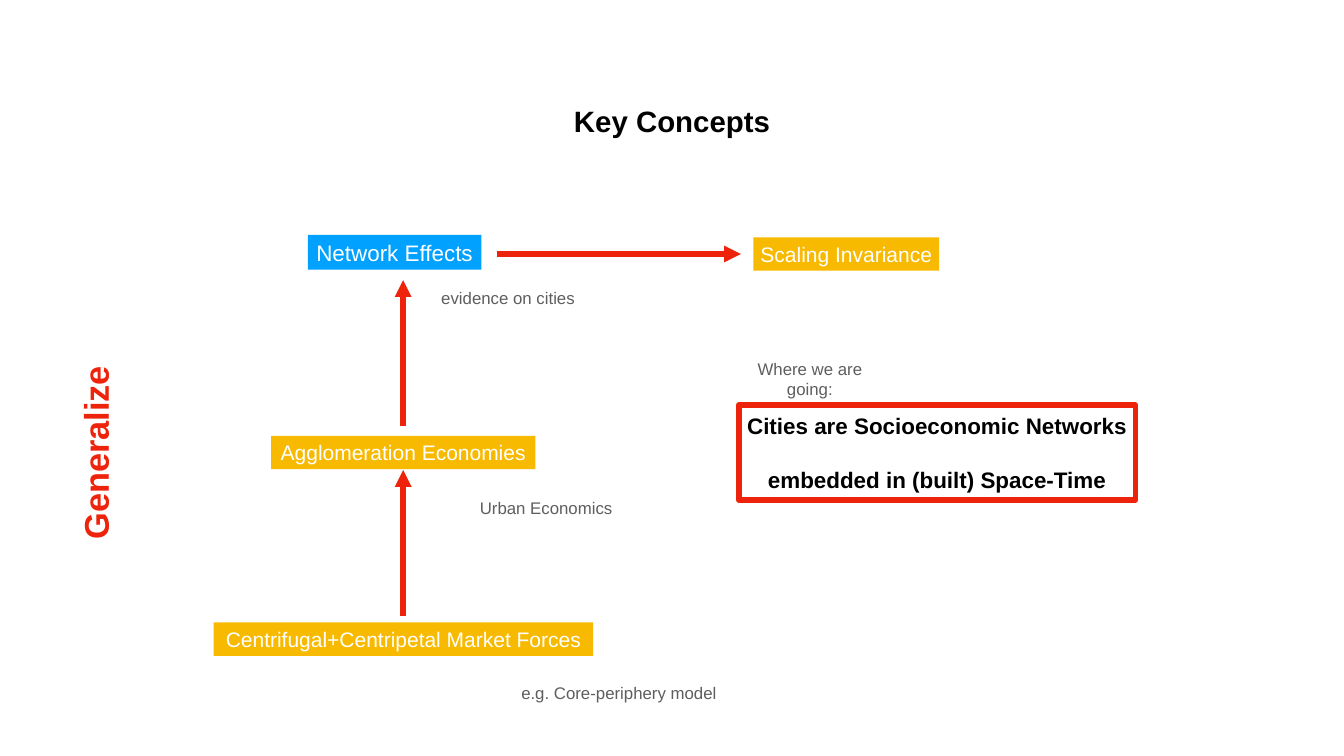
from lxml import etree
from pptx import Presentation, util as u
from pptx.dml.color import RGBColor
from pptx.enum import shapes, text
from pptx.oxml.ns import qn

HUES = {"red": "EE230C", "gold": "F8BA00", "blue": "00A1FF",
        "gray": "5E5E5E", "black": "000000", "white": "FFFFFF"}


class Deck:
    font = "Arial"
    stroke = u.Pt(8)

    def __init__(self, slide):
        self.slide = slide

    def hue(self, name):
        return RGBColor.from_string(HUES[name])

    def fill_text(self, shape, lines, size, color, bold=False, pad=0.2, gap=0):
        frame = shape.text_frame
        inset = u.Cm(pad)
        looks = {"word_wrap": False, "vertical_anchor": text.MSO_ANCHOR.MIDDLE,
                 "auto_size": text.MSO_AUTO_SIZE.SHAPE_TO_FIT_TEXT,
                 "margin_left": inset, "margin_right": inset,
                 "margin_top": inset, "margin_bottom": inset}
        for key, val in looks.items():
            setattr(frame, key, val)
        for i, line in enumerate(lines):
            para = frame.add_paragraph() if i else frame.paragraphs[0]
            para.alignment = text.PP_ALIGN.CENTER
            para.line_spacing = 1.0
            para.space_before = u.Pt(gap if i else 0)
            run = para.add_run()
            run.text = line
            style = {"name": self.font, "size": u.Pt(size), "bold": bold}
            for key, val in style.items():
                setattr(run.font, key, val)
            run.font.color.rgb = self.hue(color)

    def title(self, line, box):
        shape = self.slide.shapes.title
        for key, val in zip(("left", "top", "width", "height"), box):
            setattr(shape, key, u.Cm(val))
        self.fill_text(shape, [line], 42, "black", True)

    def block(self, box):
        shape = self.slide.shapes.add_shape(
            shapes.MSO_SHAPE.RECTANGLE, *map(u.Cm, box))
        shape.shadow.inherit = False
        return shape

    def label(self, line, box, size=30, fill="gold"):
        shape = self.block(box)
        shape.fill.solid()
        shape.fill.fore_color.rgb = self.hue(fill)
        shape.line.fill.background()
        self.fill_text(shape, [line], size, "white")

    def frame(self, lines, box):
        shape = self.block(box)
        shape.fill.background()
        shape.line.color.rgb = self.hue("red")
        shape.line.width = self.stroke
        self.fill_text(shape, lines, 32, "black", True, gap=40)

    def note(self, line, box, size=24, color="gray", bold=False, turn=0):
        shape = self.slide.shapes.add_textbox(*map(u.Cm, box))
        shape.rotation = turn
        self.fill_text(shape, [line], size, color, bold, pad=0.15)

    def arrow(self, *ends):
        link = self.slide.shapes.add_connector(
            shapes.MSO_CONNECTOR.STRAIGHT, *map(u.Cm, ends))
        link.line.color.rgb = self.hue("red")
        link.line.width = self.stroke
        props = link._element.spPr
        etree.SubElement(props.find(qn("a:ln")), qn("a:tailEnd"), type="triangle")
        etree.SubElement(props, qn("a:effectLst"))


def main():
    show = Presentation()
    show.slide_width, show.slide_height = u.Cm(67.74), u.Cm(38.1)
    deck = Deck(show.slides.add_slide(show.slide_layouts[5]))

    deck.title("Key Concepts", (28.7, 4.98, 10.34, 2.16))
    deck.label("Network Effects", (15.52, 11.84, 8.74, 1.75), 32, "blue")
    for line, left, top, width in (
            ("Scaling Invariance", 37.97, 11.96, 9.37),
            ("Centrifugal+Centripetal Market Forces", 10.77, 31.37, 19.13),
            ("Agglomeration Economies", 13.67, 21.97, 13.31)):
        deck.label(line, (left, top, width, 1.68))

    deck.arrow(25.04, 12.8, 37.34, 12.8)
    axis, rise = 20.32, 7.37
    for base in (21.49, 31.06):
        deck.arrow(axis, base, axis, base - rise)

    deck.frame(["Cities are Socioeconomic Networks",
                "embedded in (built) Space-Time"], (37.24, 20.42, 19.99, 4.78))
    for line, left, top, width in (
            ("e.g. Core-periphery model", 26.06, 34.29, 10.26),
            ("Urban Economics", 23.98, 24.97, 7.09),
            ("evidence on cities", 22.05, 14.35, 7.11),
            ("Where we are going:", 36.78, 18.47, 8.08)):
        deck.note(line, (left, top, width, 1.27))
    deck.note("Generalize", (0.25, 21.64, 9.09, 2.34), 49, "red", True, 270)

    show.save("out.pptx")


if __name__ == "__main__":
    main()
